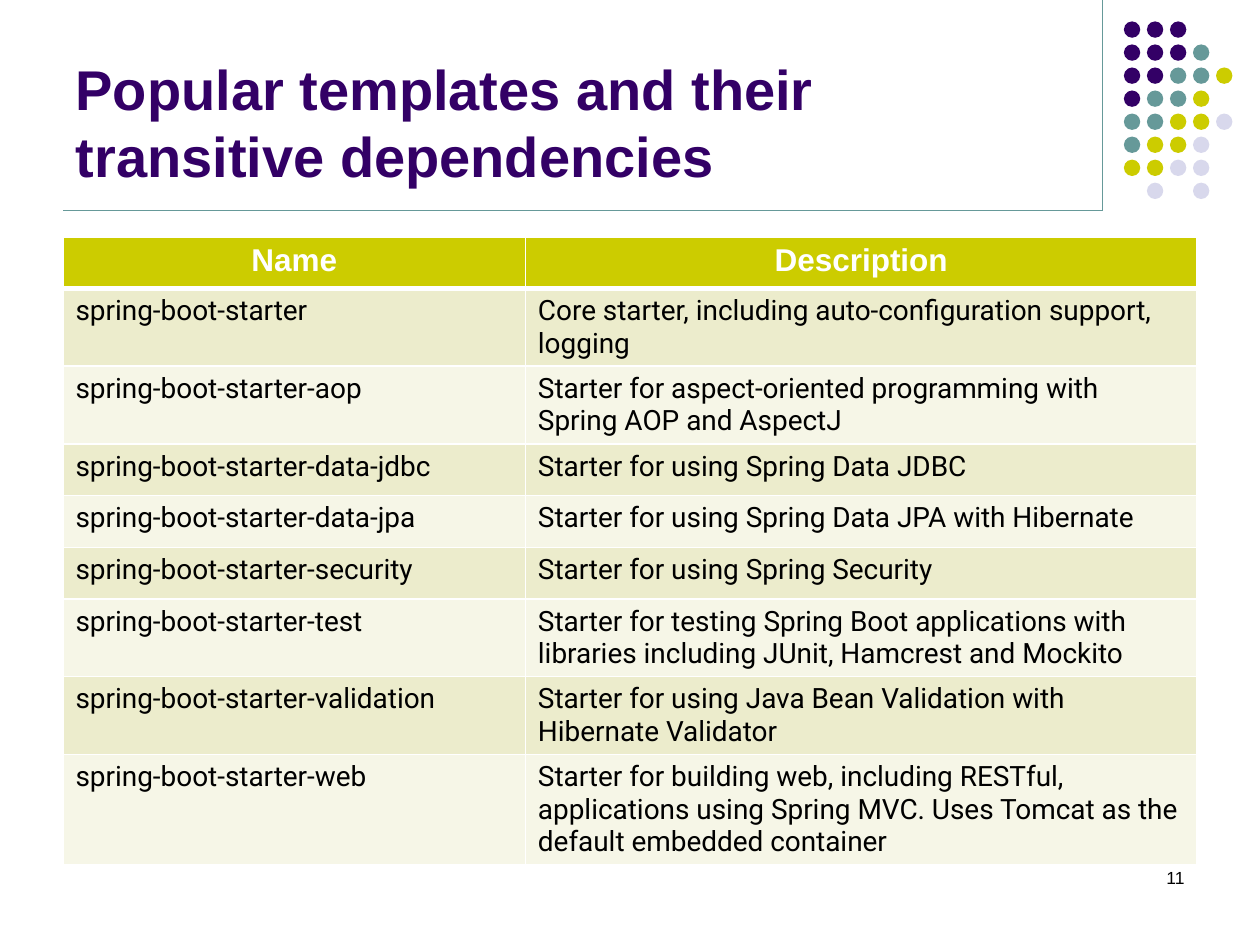
from lxml.etree import SubElement
from pptx import Presentation
from pptx.dml.color import RGBColor
from pptx.enum.shapes import MSO_CONNECTOR, MSO_SHAPE
from pptx.enum.text import MSO_ANCHOR, MSO_AUTO_SIZE, PP_ALIGN
from pptx.oxml.ns import qn
from pptx.util import Inches, Pt

PURPLE = RGBColor(0x33, 0x00, 0x66)
TEAL = RGBColor(0x66, 0x99, 0x99)
LIME = RGBColor(0xCC, 0xCC, 0x00)
LAVENDER = RGBColor(0xD8, 0xD8, 0xEC)
DARK_BAND = RGBColor(0xEC, 0xEC, 0xCC)
LIGHT_BAND = RGBColor(0xF6, 0xF6, 0xE7)
WHITE = RGBColor(0xFF, 0xFF, 0xFF)
BLACK = RGBColor(0x00, 0x00, 0x00)

DOT_COLORS = {"P": PURPLE, "T": TEAL, "L": LIME, "V": LAVENDER}
DOT_ROWS = ["PPP", "PPPT", "PPTTL", "PTTL", "TTLLV", "TLLV", "LLVV", " V V"]

TITLE_LINES = ["Popular templates and their ", "transitive dependencies"]
HEADINGS = ("Name", "Description")
STARTERS = [
    ("spring-boot-starter",
     "Core starter, including auto-configuration support, logging"),
    ("spring-boot-starter-aop",
     "Starter for aspect-oriented programming with Spring AOP and AspectJ"),
    ("spring-boot-starter-data-jdbc", "Starter for using Spring Data JDBC"),
    ("spring-boot-starter-data-jpa",
     "Starter for using Spring Data JPA with Hibernate"),
    ("spring-boot-starter-security", "Starter for using Spring Security"),
    ("spring-boot-starter-test",
     "Starter for testing Spring Boot applications with libraries "
     "including JUnit, Hamcrest and Mockito"),
    ("spring-boot-starter-validation",
     "Starter for using Java Bean Validation with Hibernate Validator"),
    ("spring-boot-starter-web",
     "Starter for building web, including RESTful, applications using "
     "Spring MVC. Uses Tomcat as the default embedded container"),
]


def add_run(paragraph, text, size, color, font="Arial", bold=False):
    """Append one formatted run to a paragraph."""
    run = paragraph.add_run()
    run.text = text
    run.font.name = font
    run.font.size = Pt(size)
    run.font.bold = bold
    run.font.color.rgb = color


def add_rule(slide, start, end):
    """Draw a thin teal line between two points in inches."""
    rule = slide.shapes.add_connector(
        MSO_CONNECTOR.STRAIGHT, *(Inches(value) for value in start + end))
    rule.line.color.rgb = TEAL
    rule.line.width = Pt(0.75)
    SubElement(rule._element.spPr, qn("a:effectLst"))


def add_dots(slide):
    """Draw the grouped dot pattern in the top right corner."""
    group = slide.shapes.add_group_shape()
    pitch = 1.28 / 7
    for row, codes in enumerate(DOT_ROWS):
        for column, code in enumerate(codes):
            if code not in DOT_COLORS:
                continue
            dot = group.shapes.add_shape(
                MSO_SHAPE.OVAL, Inches(8.92 + column * pitch),
                Inches(0.17 + row * pitch), Inches(0.13), Inches(0.13))
            dot.shadow.inherit = False
            dot.fill.solid()
            dot.fill.fore_color.rgb = DOT_COLORS[code]
            dot.line.fill.background()


def fill_title(slide):
    """Place and format the two-line title."""
    title = slide.shapes.title
    title.left, title.top = Inches(0.5), Inches(0.13)
    title.width, title.height = Inches(8.25), Inches(1.42)
    frame = title.text_frame
    frame.word_wrap = True
    frame.auto_size = MSO_AUTO_SIZE.NONE
    frame.vertical_anchor = MSO_ANCHOR.BOTTOM
    paragraph = frame.paragraphs[0]
    paragraph.alignment = PP_ALIGN.LEFT
    for index, line in enumerate(TITLE_LINES):
        if index:
            paragraph.add_line_break()
        add_run(paragraph, line, 32, PURPLE, bold=True)


def set_borders(cell, bottom_width):
    """Give a cell white borders; widths are in points."""
    properties = cell._tc.get_or_add_tcPr()
    widths = {"a:lnL": 1, "a:lnR": 1, "a:lnT": 1, "a:lnB": bottom_width}
    for index, (tag, width) in enumerate(widths.items()):
        border = SubElement(properties, qn(tag), w=str(Pt(width)))
        fill = SubElement(border, qn("a:solidFill"))
        SubElement(fill, qn("a:srgbClr"), val=str(WHITE))
        properties.insert(index, border)


def fill_cell(cell, text, is_header, fill_color):
    """Write and style one table cell."""
    cell.fill.solid()
    cell.fill.fore_color.rgb = fill_color
    set_borders(cell, 3 if is_header else 1)
    paragraph = cell.text_frame.paragraphs[0]
    if is_header:
        paragraph.alignment = PP_ALIGN.CENTER
        add_run(paragraph, text, 18, WHITE, bold=True)
    else:
        add_run(paragraph, text, 16, BLACK, font="Roboto")


def add_starter_table(slide):
    """Add the table of starters; rows grow with their text."""
    rows = [HEADINGS] + STARTERS
    table = slide.shapes.add_table(
        len(rows), 2, Inches(0.5), Inches(1.88),
        Inches(9), Inches(0.41 * len(rows))).table
    table.columns[0].width = Inches(3.67)
    table.columns[1].width = Inches(5.33)
    for row, texts in enumerate(rows):
        band = DARK_BAND if row % 2 else LIGHT_BAND
        for column, text in enumerate(texts):
            fill_cell(table.cell(row, column), text, row == 0,
                      band if row else LIME)


def add_page_number(slide):
    """Add the right-aligned page number."""
    box = slide.shapes.add_textbox(
        Inches(7.17), Inches(6.83), Inches(2.33), Inches(0.5))
    box.text_frame.word_wrap = True
    paragraph = box.text_frame.paragraphs[0]
    paragraph.alignment = PP_ALIGN.RIGHT
    add_run(paragraph, "11", 10, BLACK)


def main():
    """Build and save the slide."""
    presentation = Presentation()
    presentation.slide_width = Inches(10)
    presentation.slide_height = Inches(7.5)
    slide = presentation.slides.add_slide(presentation.slide_layouts[5])
    add_rule(slide, (8.75, 0), (8.75, 1.67))
    add_dots(slide)
    add_rule(slide, (0.5, 1.67), (8.75, 1.67))
    fill_title(slide)
    add_starter_table(slide)
    add_page_number(slide)
    presentation.save("out.pptx")


main()
